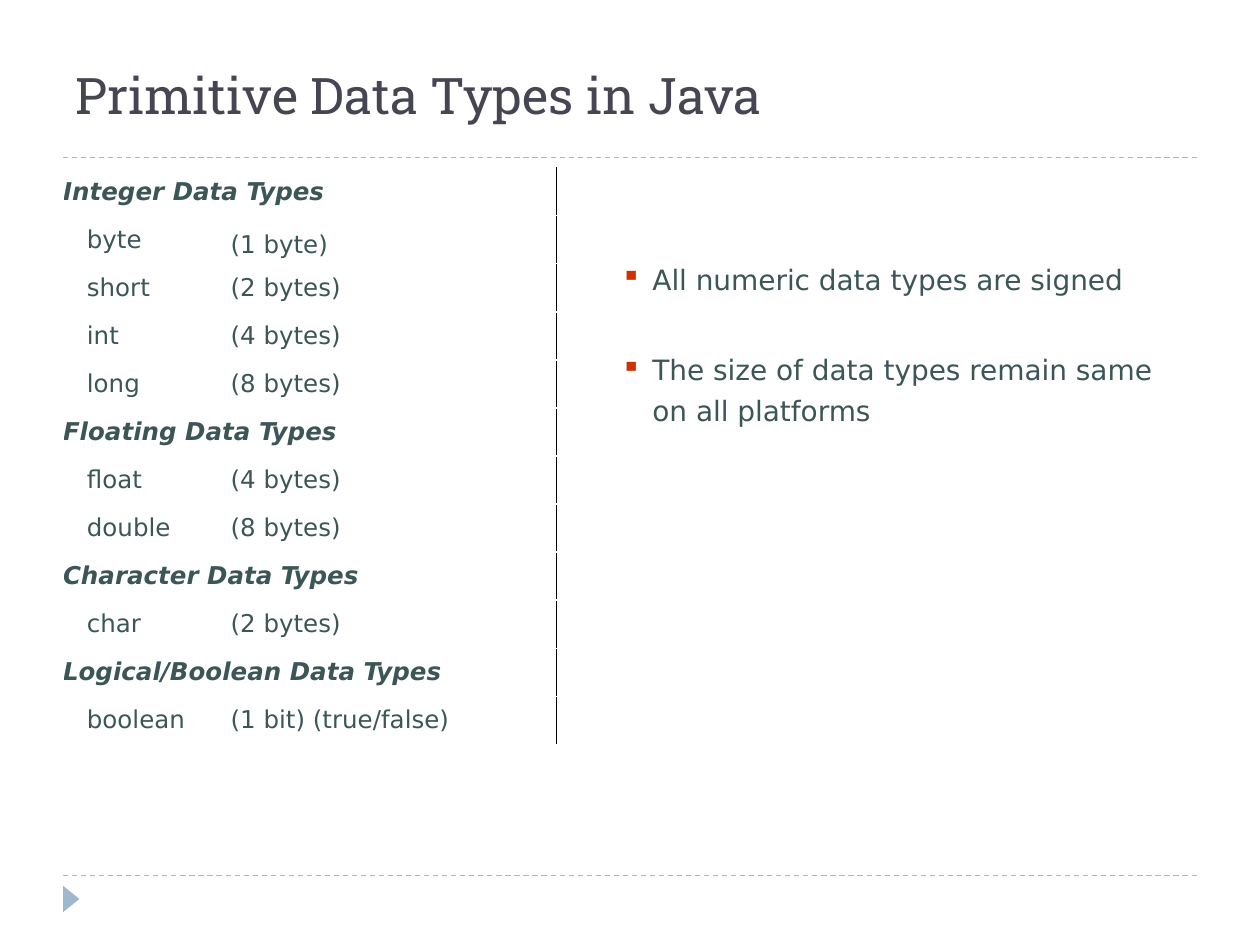
from lxml import etree
from pptx import Presentation
from pptx.dml.color import RGBColor
from pptx.enum.dml import MSO_LINE
from pptx.enum.shapes import MSO_CONNECTOR, MSO_SHAPE
from pptx.enum.text import MSO_ANCHOR
from pptx.oxml import parse_xml
from pptx.oxml.ns import nsdecls, qn
from pptx.util import Inches, Pt

TEXT, TITLE, ACCENT, BULLET, BORDER = "3C5658", "464653", "9FB8CD", "CC3300", "000000"
BODY_FONT, TITLE_FONT = "DejaVu Sans", "Roboto Slab"

DATA_TYPES = {
    "Integer Data Types": [("byte", "(1 byte)"), ("short", "(2 bytes)"),
                           ("int", "(4 bytes)"), ("long", "(8 bytes)")],
    "Floating Data Types": [("float", "(4 bytes)"), ("double", "(8 bytes)")],
    "Character Data Types": [("char", "(2 bytes)")],
    "Logical/Boolean Data Types": [("boolean", "(1 bit) (true/false)")],
}
NOTES = ["All numeric data types are signed",
         "The size of data types remain same on all platforms"]


def color(hex_value):
    return RGBColor.from_string(hex_value)


def set_attributes(target, **values):
    for name, value in values.items():
        setattr(target, name, value)


def write(paragraph, text, size, font=BODY_FONT, hex_value=TEXT, **style):
    run = paragraph.add_run()
    run.text = text
    set_attributes(run.font, size=Pt(size), name=font, **style)
    run.font.color.rgb = color(hex_value)


def add_text_frame(slide, box, **settings):
    frame = slide.shapes.add_textbox(*map(Inches, box)).text_frame
    set_attributes(frame, word_wrap=True, **settings)
    return frame


def add_rule(slide, left, top, width):
    line = slide.shapes.add_connector(
        MSO_CONNECTOR.STRAIGHT, *map(Inches, (left, top, left + width, top)))
    set_attributes(line.line, width=Pt(0.75), dash_style=MSO_LINE.DASH)
    line.line.color.rgb = color(ACCENT)
    etree.SubElement(line._element.spPr, qn("a:effectLst"))


def add_page_marker(slide, box):
    marker = slide.shapes.add_shape(MSO_SHAPE.ISOSCELES_TRIANGLE, *map(Inches, box))
    marker.rotation = 90
    marker.shadow.inherit = False
    marker.fill.solid()
    marker.fill.fore_color.rgb = color(ACCENT)
    marker.line.fill.background()


def add_title(slide, box, text):
    frame = add_text_frame(slide, box, vertical_anchor=MSO_ANCHOR.BOTTOM,
                           margin_top=0, margin_bottom=0)
    write(frame.paragraphs[0], text, 28.8, TITLE_FONT, TITLE)


def add_bullet(paragraph):
    properties = paragraph._p.get_or_add_pPr()
    properties.set("marL", str(Inches(0.25)))
    properties.set("indent", str(-Inches(0.25)))
    bullet_color = etree.SubElement(properties, qn("a:buClr"))
    etree.SubElement(bullet_color, qn("a:srgbClr"), val=BULLET)
    etree.SubElement(properties, qn("a:buChar"), char="▪")


def add_notes(slide, box, notes):
    frame = add_text_frame(slide, box, margin_top=Inches(0.77))
    for index, note in enumerate(notes):
        paragraph = frame.add_paragraph() if index else frame.paragraphs[0]
        set_attributes(paragraph, line_spacing=1.2,
                       space_before=Pt(28.6 if index else 2.6))
        add_bullet(paragraph)
        write(paragraph, note, 16)


def add_right_border(cell):
    cell._tc.get_or_add_tcPr().insert(0, parse_xml(
        f'<a:lnR {nsdecls("a")} w="{Pt(0.5)}"><a:solidFill>'
        f'<a:srgbClr val="{BORDER}"/></a:solidFill></a:lnR>'))


def fill_cell(cell, text, indent=0, line_spacing=None, heading=False):
    set_attributes(cell, vertical_anchor=MSO_ANCHOR.MIDDLE, margin_left=Inches(indent),
                   margin_right=0, margin_top=0, margin_bottom=0)
    paragraph = cell.text_frame.paragraphs[0]
    set_attributes(paragraph, space_before=Pt(2.8), line_spacing=line_spacing)
    write(paragraph, text, 14, bold=heading, italic=heading)


def add_type_table(slide, box, groups):
    """Each group is a merged heading row followed by its name and size rows."""
    rows = []
    for heading, members in groups.items():
        rows += [(heading, None), *members]
    table = slide.shapes.add_table(len(rows), 2, *map(Inches, box)).table
    set_attributes(table, first_row=False, horz_banding=False)
    for column, width in zip(table.columns, (1.33, box[2] - 1.33)):
        column.width = Inches(width)
    for index, (name, size) in enumerate(rows):
        name_cell, size_cell = table.cell(index, 0), table.cell(index, 1)
        for cell in (name_cell, size_cell):
            cell.fill.background()
        add_right_border(size_cell)
        if size is None:
            name_cell.merge(size_cell)
            add_right_border(name_cell)
            fill_cell(name_cell, name, heading=True)
        else:
            fill_cell(name_cell, name, indent=0.19)
            fill_cell(size_cell, size, line_spacing=1.4 if name == "byte" else None)


def main():
    presentation = Presentation()
    set_attributes(presentation, slide_width=Inches(10), slide_height=Inches(7.5))
    slide = presentation.slides.add_slide(presentation.slide_layouts[6])
    for top in (6.95, 1.25):
        add_rule(slide, 0.5, top, 9)
    add_page_marker(slide, (0.46, 7.07, 0.21, 0.13))
    add_title(slide, (0.5, 0.52, 7.31, 0.47), "Primitive Data Types in Java")
    add_notes(slide, (4.83, 1.26, 4.67, 5.41), NOTES)
    add_type_table(slide, (0.5, 1.33, 3.92, 4.58), DATA_TYPES)
    presentation.save("out.pptx")


if __name__ == "__main__":
    main()
